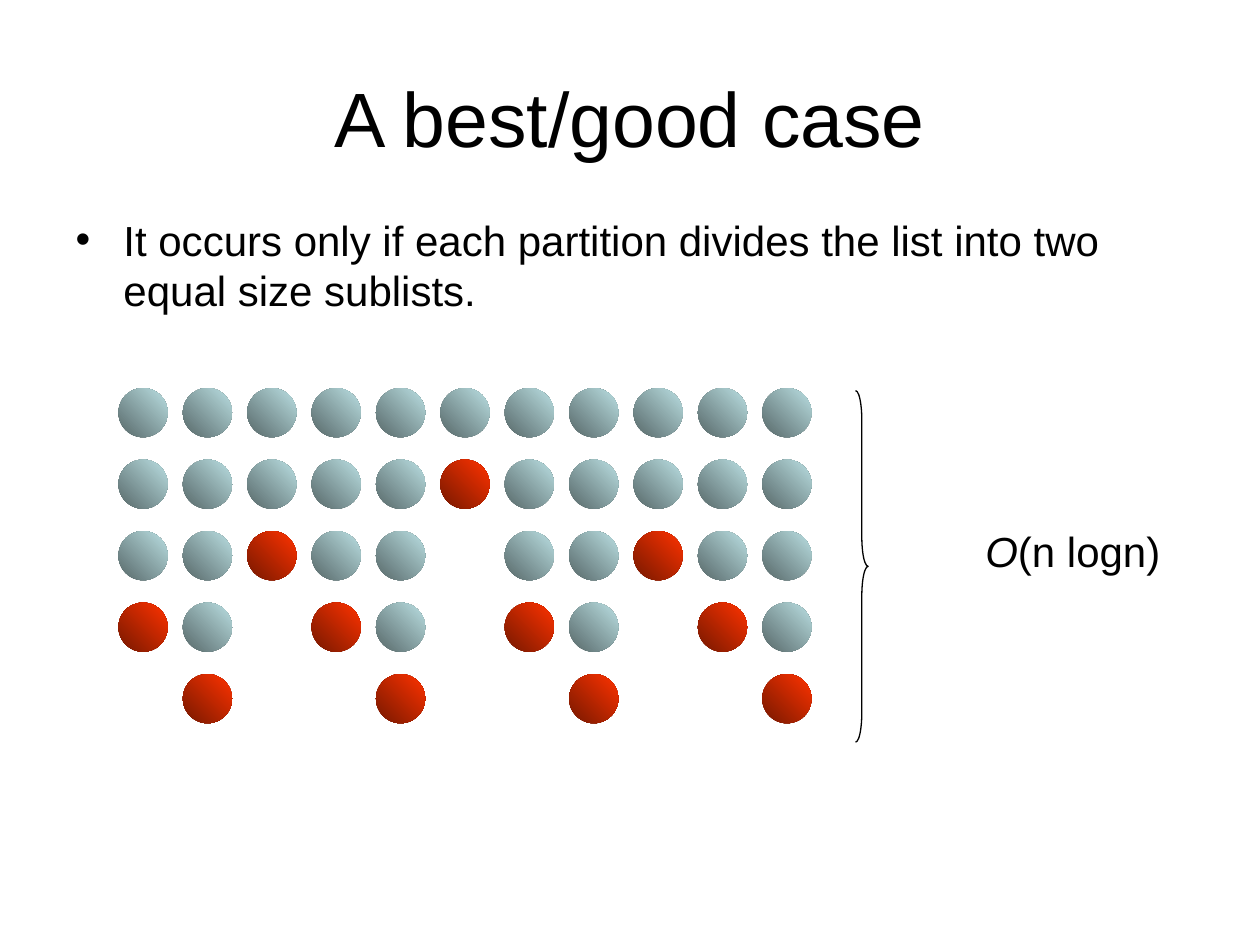
from pptx import Presentation
from pptx import util as u
from pptx.dml.color import RGBColor
from pptx.enum import shapes, text
from pptx.oxml import parse_xml
from pptx.oxml.ns import nsdecls

Inches, Pt = u.Inches, u.Pt

FONT = "Arial"
BLACK = RGBColor(0x00, 0x00, 0x00)
WHITE = RGBColor(0xFF, 0xFF, 0xFF)
ITEM_COLORS = (RGBColor(0x57, 0x68, 0x69), RGBColor(0xBB, 0xE0, 0xE3))
PIVOT_COLORS = (RGBColor(0x76, 0x18, 0x00), RGBColor(0xFF, 0x33, 0x00))

# One row per partition level: o = list item, P = pivot, space = already placed
LEVELS = (
    "ooooooooooo",
    "oooooPooooo",
    "ooPoo ooPoo",
    "Po Po Po Po",
    " P  P  P  P",
)


def place(shape, box):
    shape.left, shape.top, shape.width, shape.height = (Inches(v) for v in box)


def write(shape, runs, size=24, align=text.PP_ALIGN.LEFT,
          anchor=text.MSO_ANCHOR.TOP, wrap=True, bullet=None, indent=0):
    """Write (wording, italic) runs as one paragraph."""
    frame = shape.text_frame
    frame.auto_size = text.MSO_AUTO_SIZE.NONE
    frame.word_wrap = wrap
    frame.vertical_anchor = anchor
    paragraph = frame.paragraphs[0]
    paragraph.alignment = align
    paragraph.space_before = Pt(0)
    if bullet:
        properties = paragraph._p.get_or_add_pPr()
        properties.set("marL", str(Inches(indent)))
        properties.set("indent", str(-Inches(indent)))
        properties.append(parse_xml(
            f'<a:buChar {nsdecls("a")} char="{bullet}"/>'))
    for wording, italic in runs:
        run = paragraph.add_run()
        run.text = wording
        run.font.name = FONT
        run.font.size = Pt(size)
        run.font.italic = italic
        run.font.color.rgb = BLACK


def add_heading(slide, box):
    place(slide.shapes.title, box)
    write(slide.shapes.title, [("A best/good case", False)], size=44,
          align=text.PP_ALIGN.CENTER, anchor=text.MSO_ANCHOR.MIDDLE)


def add_body(slide, box):
    body = slide.placeholders[1]
    place(body, box)
    write(body, [("It occurs only if each partition divides the list into two "
                  "equal size sublists.", False)], bullet="•", indent=0.38)


def add_ball(group, box, colors):
    ball = group.shapes.add_shape(shapes.MSO_SHAPE.OVAL,
                                  *(Inches(v) for v in box))
    ball.shadow.inherit = False
    ball.line.fill.background()
    ball.fill.gradient()
    ball.fill.gradient_angle = 45
    for stop, color in zip(ball.fill.gradient_stops, colors):
        stop.color.rgb = color


def add_partition_levels(slide, box, diameter=0.39):
    left, top, width, height = box
    column_step = (width - diameter) / (len(LEVELS[0]) - 1)
    row_step = (height - diameter) / (len(LEVELS) - 1)
    group = slide.shapes.add_group_shape()
    for row, level in enumerate(LEVELS):
        for column, mark in enumerate(level):
            if mark != " ":
                ball_box = (left + column * column_step, top + row * row_step,
                            diameter, diameter)
                add_ball(group, ball_box,
                         PIVOT_COLORS if mark == "P" else ITEM_COLORS)


def add_brace(slide, box):
    brace = slide.shapes.add_shape(shapes.MSO_SHAPE.RIGHT_BRACE,
                                   *(Inches(v) for v in box))
    brace.shadow.inherit = False
    brace.adjustments[0] = 2.33
    brace.fill.background()
    brace.line.color.rgb = BLACK
    brace.line.width = Pt(0.75)


def add_cost(slide, box):
    label = slide.shapes.add_shape(shapes.MSO_SHAPE.RECTANGLE,
                                   *(Inches(v) for v in box))
    label.shadow.inherit = False
    label.fill.solid()
    label.fill.fore_color.rgb = WHITE
    label.line.color.rgb = WHITE
    label.line.width = Pt(0.75)
    write(label, [("O", True), ("(n logn)", False)], wrap=False,
          align=text.PP_ALIGN.CENTER, anchor=text.MSO_ANCHOR.MIDDLE)


def main():
    presentation = Presentation()
    presentation.slide_width = Inches(10)
    presentation.slide_height = Inches(7.5)
    slide = presentation.slides.add_slide(presentation.slide_layouts[1])

    # Title and statement
    add_heading(slide, (0.5, 0.3, 9, 1.25))
    add_body(slide, (0.5, 1.65, 9, 4.95))

    # Partition diagram and its total cost
    add_partition_levels(slide, (0.94, 3.08, 5.5, 2.66))
    add_brace(slide, (6.79, 3.1, 0.1, 2.79))
    add_cost(slide, (7.58, 4.06, 1.87, 0.63))

    presentation.save("out.pptx")


if __name__ == "__main__":
    main()
